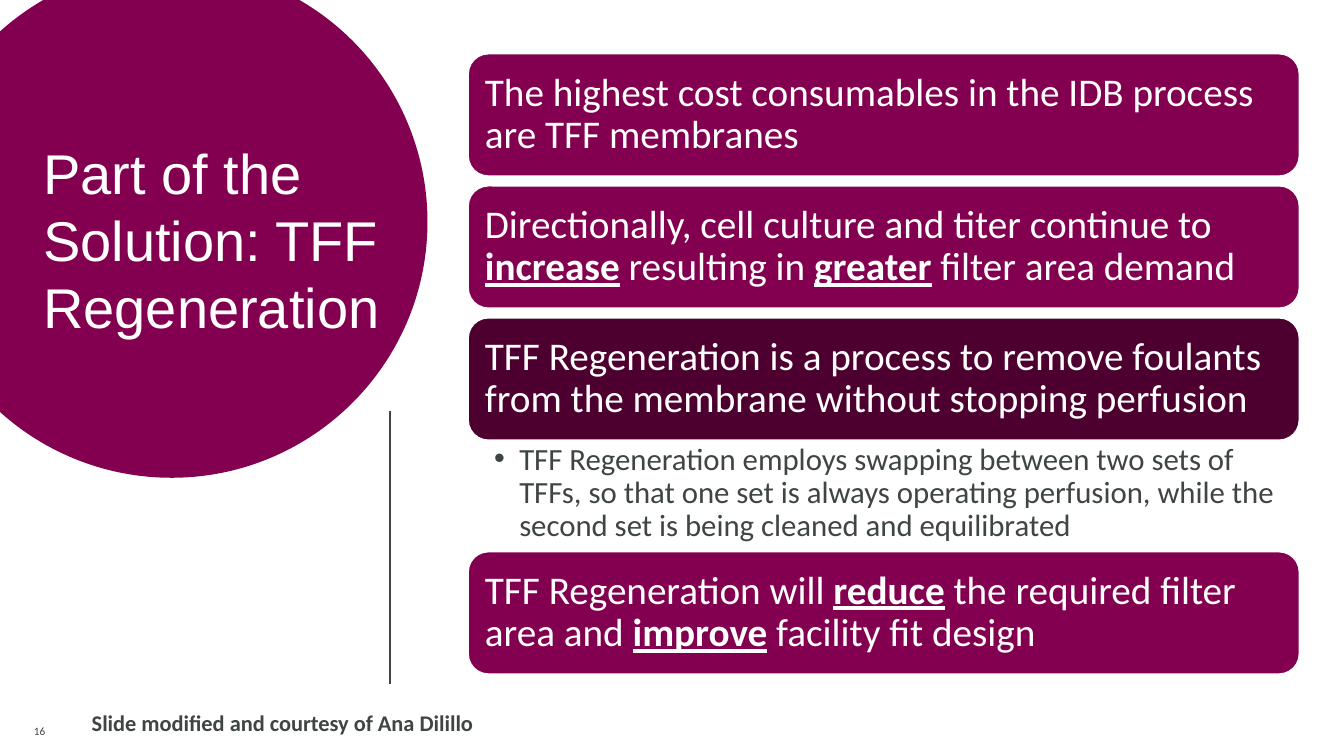
import math
from dataclasses import dataclass

import pptx
import pptx.dml.color
import pptx.enum.shapes
import pptx.enum.text
import pptx.oxml.ns
import pptx.util
from lxml import etree

Inches = pptx.util.Inches
Pt = pptx.util.Pt
Anchor = pptx.enum.text.MSO_ANCHOR
Align = pptx.enum.text.PP_ALIGN
qn = pptx.oxml.ns.qn

PLUM, DARK_PLUM, GREY, WHITE = "830051", "4D0030", "3F4444", "FFFFFF"
CARD_LEFT, CARD_WIDTH, CARD_HEIGHT = 4.64, 8.25, 1.22


@dataclass
class Card:
    top: float
    text: str  # words between asterisks are bold and underlined
    fill: str = PLUM


CARDS = [
    Card(0.53, "The highest cost consumables in the IDB process are TFF membranes"),
    Card(1.84, "Directionally, cell culture and titer continue to *increase* "
               "resulting in *greater* filter area demand"),
    Card(3.15, "TFF Regeneration is a process to remove foulants from the "
               "membrane without stopping perfusion", DARK_PLUM),
    Card(5.47, "TFF Regeneration will *reduce* the required filter area and "
               "*improve* facility fit design"),
]


def rgb(color: str) -> pptx.dml.color.RGBColor:
    return pptx.dml.color.RGBColor.from_string(color)


def paint(sp, fill: str, line: str = "", width: float = 1.5) -> None:
    sp.shadow.inherit = False
    sp.fill.solid()
    sp.fill.fore_color.rgb = rgb(fill)
    if line:
        sp.line.color.rgb = rgb(line)
        sp.line.width = Pt(width)
    else:
        sp.line.fill.background()


def write(sp, text: str, *, size: float, color: str, font: str = "Calibri",
          bold: bool = False, align=Align.LEFT, anchor=Anchor.MIDDLE,
          insets: tuple = (0, 0, 0, 0), spacing: float = 1.0,
          bullet: str = "") -> None:
    tf = sp.text_frame
    tf.word_wrap = True
    tf.vertical_anchor = anchor
    tf.margin_left, tf.margin_top, tf.margin_right, tf.margin_bottom = map(Inches, insets)
    p = tf.paragraphs[0]
    p.alignment = align
    p.line_spacing = spacing
    if bullet:
        pPr = p._p.get_or_add_pPr()
        pPr.set("marL", str(Inches(0.25)))
        pPr.set("indent", str(Inches(-0.25)))
        etree.SubElement(pPr, qn("a:buFont")).set("typeface", "Arial")
        etree.SubElement(pPr, qn("a:buChar")).set("char", bullet)
    for i, part in enumerate(text.split("*")):
        stressed = i % 2 == 1
        r = p.add_run()
        r.text = part
        r.font.name = font
        r.font.size = Pt(size)
        r.font.color.rgb = rgb(color)
        r.font.bold = bold or stressed
        r.font.underline = stressed


def add_text(s, box: tuple, text: str, **fmt) -> None:
    write(s.shapes.add_textbox(*map(Inches, box)), text, **fmt)


def add_title_circle(s, cx: float, cy: float, radius: float, text: str) -> None:
    # The circle is cut off at the slide's top and left edges
    top_cut = math.asin(cy / radius)
    left_cut = math.acos(cx / radius)
    angles = [-top_cut, 0, math.pi / 2, math.pi - left_cut,
              math.pi + left_cut, math.pi + top_cut]

    def on_circle(a: float, handle: float = 0) -> tuple:
        x = cx + radius * (math.cos(a) - handle * math.sin(a))
        y = cy + radius * (math.sin(a) + handle * math.cos(a))
        return Inches(x), Inches(y)

    points = [on_circle(a) for a in angles]
    builder = s.shapes.build_freeform(*points[0], scale=1.0)
    builder.add_line_segments(points[1:], close=True)
    sp = builder.convert_to_shape()

    # Bend every side but the straight left edge into an arc
    sides = list(sp._element.iter(qn("a:lnTo")))
    for i, (start, end) in enumerate(zip(angles, angles[1:])):
        if i == 3:
            continue
        handle = 4 / 3 * math.tan((end - start) / 4)
        side = sides[i]
        side.tag = qn("a:cubicBezTo")
        controls = [on_circle(start, handle), on_circle(end, -handle)]
        for n, (x, y) in enumerate(controls):
            pt = etree.Element(qn("a:pt"), x=str(x), y=str(y))
            side.insert(n, pt)

    paint(sp, PLUM)
    write(sp, text, size=40, color=WHITE, font="Arial",
          insets=(0.43, 0.39, 0.1, 0.39))


def add_card(s, card: Card) -> None:
    sp = s.shapes.add_shape(
        pptx.enum.shapes.MSO_SHAPE.ROUNDED_RECTANGLE, Inches(CARD_LEFT),
        Inches(card.top), Inches(CARD_WIDTH), Inches(CARD_HEIGHT))
    paint(sp, card.fill, WHITE)
    write(sp, card.text, size=28, color=WHITE, spacing=0.9,
          insets=(0.11, 0.11, 0.11, 0.11))


def add_divider(s, x: float, top: float, bottom: float) -> None:
    line = s.shapes.add_connector(
        pptx.enum.shapes.MSO_CONNECTOR.STRAIGHT,
        Inches(x), Inches(top), Inches(x), Inches(bottom))
    line.line.color.rgb = rgb(GREY)
    line.line.width = Pt(1)
    etree.SubElement(line._element.spPr, qn("a:effectLst"))


def main() -> None:
    prs = pptx.Presentation()
    prs.slide_width, prs.slide_height = Inches(13.33), Inches(7.5)
    s = prs.slides.add_slide(prs.slide_layouts[6])

    # Left side: divider and title
    add_divider(s, 3.87, 4.08, 6.79)
    add_title_circle(s, 1.7, 2.2, 2.54, "Part of the Solution: TFF Regeneration")

    # Right side: key messages and the detail under the third one
    for card in CARDS:
        add_card(s, card)
    add_text(s, (CARD_LEFT, 4.36, CARD_WIDTH, 1.11),
             "TFF Regeneration employs swapping between two sets of TFFs, so that "
             "one set is always operating perfusion, while the second set is being "
             "cleaned and equilibrated",
             size=22, color=GREY, spacing=0.9, bullet="•", anchor=Anchor.TOP,
             insets=(0.26, 0.04, 0.22, 0.04))

    # Footer: slide number and credit
    add_text(s, (0, 7.06, 0.45, 0.34), "16", size=8, color=GREY,
             align=Align.RIGHT, anchor=Anchor.BOTTOM, insets=(0, 0, 0, 0.08))
    add_text(s, (0.91, 6.66, 10.42, 0.72), "Slide modified and courtesy of Ana Dilillo",
             size=16, color=GREY, bold=True, anchor=Anchor.BOTTOM,
             insets=(0, 0, 0, 0.08))

    prs.save("out.pptx")


if __name__ == "__main__":
    main()
